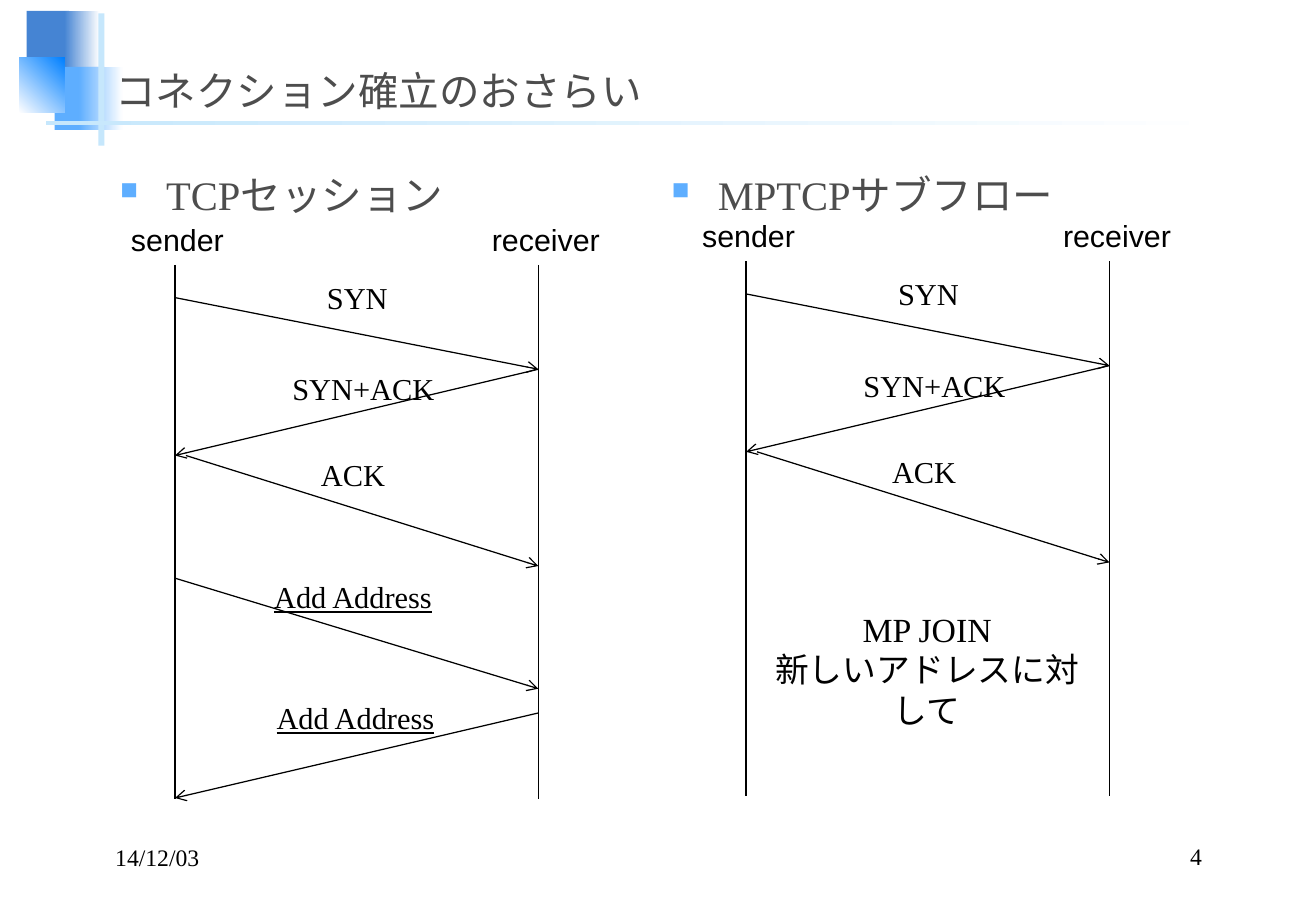
from lxml.etree import SubElement
from pptx import Presentation
from pptx.dml.color import RGBColor
from pptx.enum.shapes import MSO_CONNECTOR, MSO_SHAPE
from pptx.enum.text import MSO_ANCHOR, PP_ALIGN
from pptx.oxml.ns import qn
from pptx.util import Inches, Pt

COLORS = {"navy": "4584D3", "sky": "5EAEFF", "blue": "0080FF", "pale": "C6E7FC",
          "white": "FFFFFF", "gray": "4D4D4D", "black": "000000"}
SERIF, SANS = "Times New Roman", "Arial"


def add_text(left, top, width, height, lines, size=18, font=SERIF, color="black",
             align=PP_ALIGN.LEFT, anchor=MSO_ANCHOR.TOP, wrap=True,
             underline=None, bullet=False):
    box = page.shapes.add_textbox(Inches(left), Inches(top), Inches(width), Inches(height))
    frame = box.text_frame
    frame.word_wrap = wrap
    frame.vertical_anchor = anchor
    frame.text = lines
    for para in frame.paragraphs:
        para.alignment = align
        if bullet:
            para.line_spacing = 1.2
            props = para._p.get_or_add_pPr()
            props.set("marL", str(Inches(0.38)))
            props.set("indent", str(-Inches(0.38)))
            tint = SubElement(props, qn("a:buClr"))
            SubElement(tint, qn("a:srgbClr"), val=COLORS["sky"])
            SubElement(props, qn("a:buSzPct"), val="60000")
            SubElement(props, qn("a:buChar"), char="■")
        para.font.name = font
        para.font.size = Pt(size)
        para.font.underline = underline
        para.font.color.rgb = RGBColor.from_string(COLORS[color])


def add_line(x1, y1, x2, y2, arrow=False):
    line = page.shapes.add_connector(MSO_CONNECTOR.STRAIGHT, Inches(x1), Inches(y1),
                                     Inches(x2), Inches(y2))
    line.line.width = Pt(0.75)
    line.line.color.rgb = RGBColor.from_string(COLORS["black"])
    if arrow:
        SubElement(line.line._get_or_add_ln(), qn("a:tailEnd"), type="arrow")
    SubElement(line._element.spPr, qn("a:effectLst"))


deck = Presentation()
deck.slide_width, deck.slide_height = Inches(10.83), Inches(7.5)
page = deck.slides.add_slide(deck.slide_layouts[6])

# Corner decoration: position, first colour, gradient end colour, angle
for left, top, width, height, start, end, angle in [
    (0.22, 0.09, 0.35, 0.52, "navy", None, 0),
    (0.53, 0.09, 0.29, 0.52, "navy", "white", 0),
    (0.45, 0.55, 0.41, 0.52, "sky", None, 0),
    (0.65, 0.55, 0.36, 0.52, "sky", "white", 0),
    (0.16, 0.47, 0.37, 0.46, "white", "blue", 45),
    (0.81, 0.11, 0.05, 1.09, "pale", None, 0),
    (0.38, 1.0, 9.75, 0.03, "pale", "white", 0),
]:
    block = page.shapes.add_shape(MSO_SHAPE.RECTANGLE, Inches(left), Inches(top),
                                  Inches(width), Inches(height))
    block.shadow.inherit = False
    block.line.fill.background()
    if end:
        block.fill.gradient()
        block.fill.gradient_angle = angle
        for stop, name, position in zip(block.fill.gradient_stops, (start, end), (0, 1)):
            stop.color.rgb = RGBColor.from_string(COLORS[name])
            stop.position = position
    else:
        block.fill.solid()
        block.fill.fore_color.rgb = RGBColor.from_string(COLORS[start])

# Title, column headings and footer
add_text(0.85, 0.36, 9.29, 0.63, "コネクション確立のおさらい", 24, color="gray",
         anchor=MSO_ANCHOR.BOTTOM)
for left, heading in [(0.89, "TCPセッション"), (5.43, "MPTCPサブフロー")]:
    add_text(left, 1.27, 4.53, 5.32, heading, 24, color="gray", bullet=True)
add_text(0.85, 6.9, 2.26, 0.32, "14/12/03", 14, anchor=MSO_ANCHOR.BOTTOM)
add_text(7.73, 6.9, 2.26, 0.31, "4", 14, align=PP_ALIGN.RIGHT, anchor=MSO_ANCHOR.BOTTOM)

# Three-way handshake, drawn once per column
for sender, top in [(1.44, 2.18), (6.14, 2.15)]:
    receiver = sender + 2.99
    for lifeline in (sender, receiver):
        add_line(lifeline, top, lifeline, top + 4.4)
    for left, width, role in [(-0.46, 0.97, "sender"), (2.51, 1.1, "receiver")]:
        add_text(sender + left, top - 0.41, width, 0.4, role, font=SANS, wrap=False)
    add_line(sender, top + 0.27, receiver, top + 0.86, arrow=True)
    add_line(receiver, top + 0.86, sender, top + 1.57, arrow=True)
    add_line(sender + 0.09, top + 1.57, receiver, top + 2.48, arrow=True)
    for left, down, width, message in [(1.14, 0.07, 0.72, "SYN"),
                                       (0.86, 0.82, 1.38, "SYN+ACK"),
                                       (1.1, 1.53, 0.73, "ACK")]:
        add_text(sender + left, top + down, width, 0.4, message,
                 align=PP_ALIGN.CENTER, wrap=False)

# Address exchange in the TCP session
add_line(4.43, 5.87, 1.44, 6.57, arrow=True)
add_line(1.44, 4.76, 4.43, 5.67, arrow=True)
for left, top in [(2.15, 4.71), (2.17, 5.71)]:
    add_text(left, top, 1.51, 0.4, "Add Address", align=PP_ALIGN.CENTER,
             wrap=False, underline=True)

# Join note in the MPTCP subflow
add_text(6.17, 4.96, 2.92, 0.77, "MP JOIN\n新しいアドレスに対して", 20,
         align=PP_ALIGN.CENTER)

deck.save("out.pptx")
